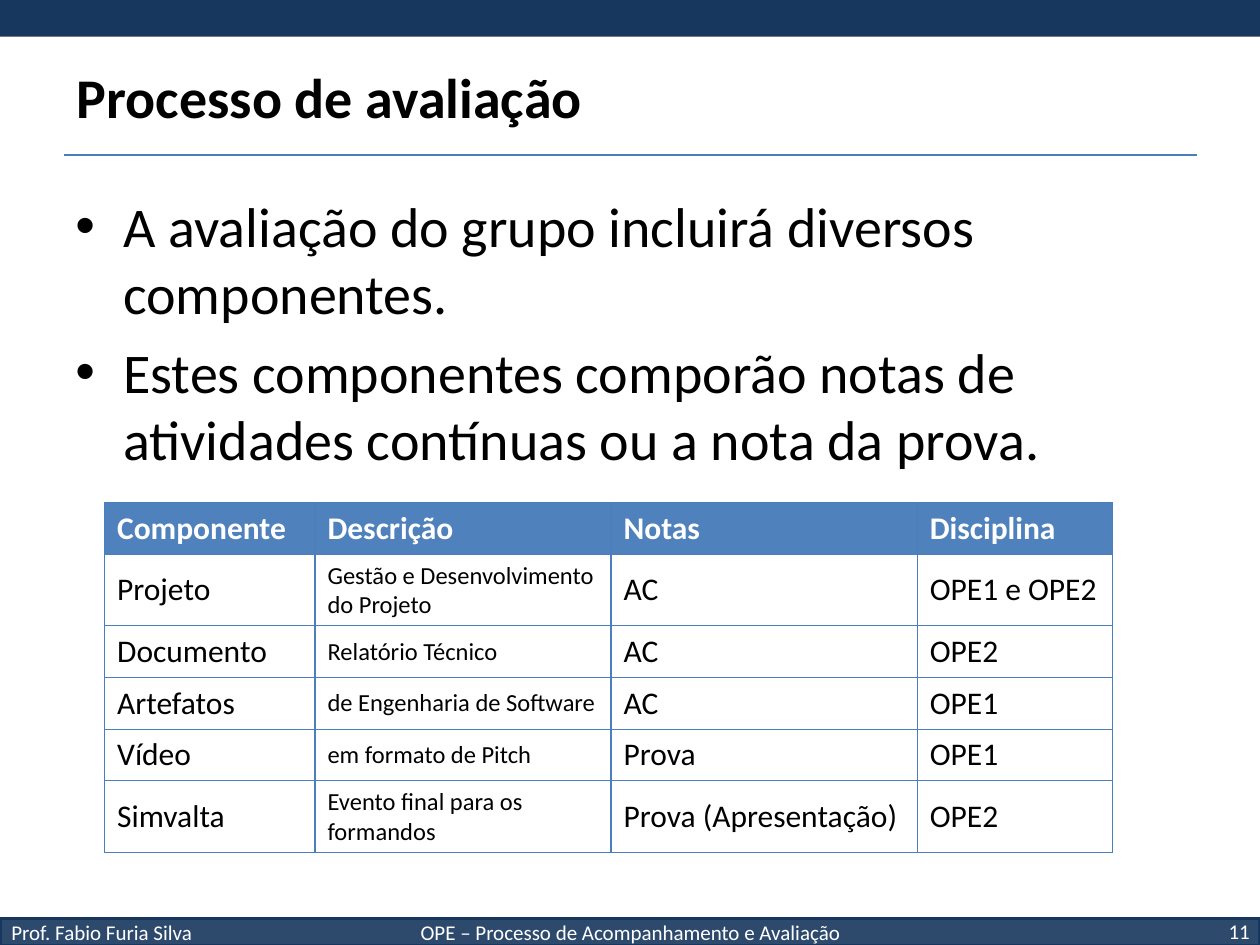
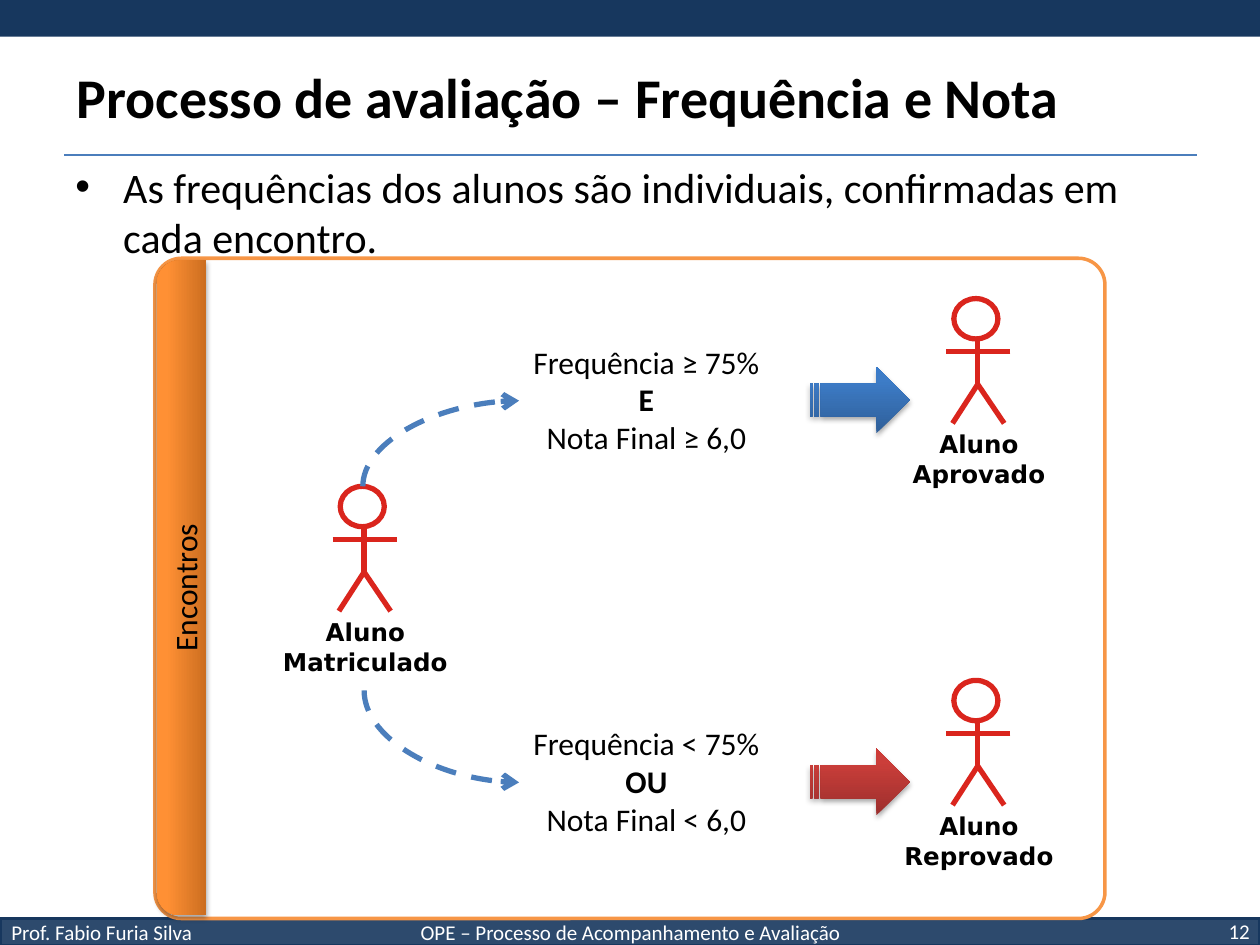
import lxml.etree
import pptx
import pptx.dml.color
import pptx.enum.dml
import pptx.enum.shapes
import pptx.enum.text
import pptx.oxml.ns
import pptx.util

Inches = pptx.util.Inches
Pt = pptx.util.Pt
PRESET = pptx.enum.shapes.MSO_SHAPE
CONNECTOR = pptx.enum.shapes.MSO_CONNECTOR
ALIGN = pptx.enum.text.PP_ALIGN
ANCHOR = pptx.enum.text.MSO_ANCHOR

COLORS = {
    "navy": "17375E",
    "rule": "4B7EBC",
    "header": "4F81BD",
    "figure": "DA251D",
    "frame": "F79646",
    "white": "FFFFFF",
    "black": "000000",
}
GRADIENTS = {
    "orange": [(0, "CC6E20"), (80, "FF9034"), (100, "FF9136")],
    "blue": [(0, "2F5F99"), (80, "3D7CC7"), (100, "3A7CCB")],
    "red": [(0, "9C2F2D"), (80, "CB3E3A"), (100, "CE3B37")],
}
BODY_FONT = "Calibri"
FIGURE_FONT = "DejaVu Sans"

AUTHOR = "Prof. Fabio Furia Silva"
COURSE = "OPE – Processo de Acompanhamento e Avaliação"
COMPONENTS = [
    ("Componente", "Descrição", "Notas", "Disciplina"),
    ("Projeto", "Gestão e Desenvolvimento do Projeto", "AC", "OPE1 e OPE2"),
    ("Documento", "Relatório Técnico", "AC", "OPE2"),
    ("Artefatos", "de Engenharia de Software", "AC", "OPE1"),
    ("Vídeo", "em formato de Pitch", "Prova", "OPE1"),
    ("Simvalta", "Evento final para os formandos", "Prova (Apresentação)", "OPE2"),
]


def rgb(name):
    return pptx.dml.color.RGBColor.from_string(COLORS[name])


def add_xml(parent, tag, **attributes):
    """Append a DrawingML element to parent and return it."""
    child = lxml.etree.SubElement(parent, pptx.oxml.ns.qn(tag))
    for key, value in attributes.items():
        child.set(key, str(value))
    return child


def find_xml(shape, tag):
    return next(shape.element.iter(pptx.oxml.ns.qn(tag)))


def write(frame, paragraphs, size, color="black", font=BODY_FONT, bold=False,
          align=ALIGN.LEFT):
    for index, text in enumerate(paragraphs):
        paragraph = frame.paragraphs[0] if index == 0 else frame.add_paragraph()
        paragraph.alignment = align
        run = paragraph.add_run()
        run.text = text
        run.font.size = Pt(size)
        run.font.name = font
        run.font.bold = bold
        run.font.color.rgb = rgb(color)


def add_text(shapes, box, paragraphs, size, wrap=True, anchor=ANCHOR.TOP,
             margin=None, **style):
    textbox = shapes.add_textbox(*map(Inches, box))
    frame = textbox.text_frame
    frame.word_wrap = wrap
    frame.vertical_anchor = anchor
    if margin is not None:
        frame.margin_left = frame.margin_right = Inches(margin)
        frame.margin_top = frame.margin_bottom = Inches(margin)
    write(frame, paragraphs, size, **style)
    return textbox


def add_preset(shapes, preset, box, fill=None, line=None, width=1):
    shape = shapes.add_shape(preset, *map(Inches, box))
    shape.shadow.inherit = False
    if fill:
        shape.fill.solid()
        shape.fill.fore_color.rgb = rgb(fill)
    else:
        shape.fill.background()
    if line:
        shape.line.color.rgb = rgb(line)
        shape.line.width = Pt(width)
    else:
        shape.line.fill.background()
    return shape


def add_line(shapes, start, end, color, width, kind=CONNECTOR.STRAIGHT):
    line = shapes.add_connector(kind, *map(Inches, start + end))
    line.line.color.rgb = rgb(color)
    line.line.width = Pt(width)
    add_xml(line.element.spPr, "a:effectLst")
    return line


def add_glossy(shapes, preset, box, gradient):
    """Shape with an upward gradient and a soft shadow below it."""
    shape = add_preset(shapes, preset, box)
    shape.fill.gradient()
    find_xml(shape, "a:lin").set("ang", "16200000")
    find_xml(shape, "a:gradFill").set("rotWithShape", "1")
    stops = find_xml(shape, "a:gsLst")
    for stop in list(stops):
        stops.remove(stop)
    for position, color in GRADIENTS[gradient]:
        stop = add_xml(stops, "a:gs", pos=position * 1000)
        add_xml(stop, "a:srgbClr", val=color)
    shadow = add_xml(find_xml(shape, "a:effectLst"), "a:outerShdw", blurRad=Pt(3.1),
                     dist=Pt(1.8), dir=5400000, rotWithShape=0)
    add_xml(add_xml(shadow, "a:srgbClr", val=COLORS["black"]), "a:alpha", val=35000)
    return shape


def add_base(deck, title, number):
    """Blank slide with the bands, footer, rule and title."""
    slide = deck.slides.add_slide(deck.slide_layouts[6])
    shapes = slide.shapes
    footer = add_preset(shapes, PRESET.RECTANGLE, (0, 7.29, 10, 0.22), "navy", "navy", 2)
    add_xml(find_xml(footer, "a:srgbClr"), "a:alpha", val=90000)
    for box, text, align in [
        ((9.68, 7.25, 0.28, 0.28), str(number), ALIGN.RIGHT),
        ((0.05, 7.26, 1.53, 0.28), AUTHOR, ALIGN.LEFT),
        ((3.21, 7.26, 3.59, 0.28), COURSE, ALIGN.CENTER),
    ]:
        add_text(shapes, box, [text], 12, wrap=False, margin=0.04,
                 color="white", align=align)
    add_preset(shapes, PRESET.RECTANGLE, (0, 0, 10, 0.29), "navy")
    add_line(shapes, (0.51, 1.23), (9.5, 1.23), "rule", 0.75)
    add_text(shapes, (0.51, 0.29, 8.99, 0.94), [title], 32,
             anchor=ANCHOR.MIDDLE, bold=True)
    return shapes


def add_bullets(shapes, top, paragraphs, size):
    body = add_text(shapes, (0.5, top, 9, 5.35), paragraphs, size)
    for paragraph in body.text_frame.paragraphs:
        paragraph.space_before = Pt(size * 0.2)
        properties = paragraph._p.get_or_add_pPr()
        properties.set("marL", str(Inches(0.38)))
        properties.set("indent", str(-Inches(0.38)))
        add_xml(properties, "a:buFont", typeface="Arial")
        add_xml(properties, "a:buChar", char="•")


def add_component_table(shapes):
    widths = (1.67, 2.35, 2.43, 1.55)
    row_height = 0.41
    table = shapes.add_table(
        len(COMPONENTS), len(widths), Inches(0.83), Inches(3.99),
        Inches(sum(widths)), Inches(row_height * len(COMPONENTS))).table
    table.horz_banding = False
    for column, width in zip(table.columns, widths):
        column.width = Inches(width)
    for row_index, texts in enumerate(COMPONENTS):
        table.rows[row_index].height = Inches(row_height)
        is_header = row_index == 0
        for column_index, text in enumerate(texts):
            cell = table.cell(row_index, column_index)
            cell.vertical_anchor = ANCHOR.MIDDLE
            for side in ("a:lnL", "a:lnR", "a:lnT", "a:lnB"):
                border = add_xml(cell._tc.get_or_add_tcPr(), side, w=Pt(0.75))
                add_xml(add_xml(border, "a:solidFill"), "a:srgbClr", val=COLORS["rule"])
            cell.fill.solid()
            cell.fill.fore_color.rgb = rgb("header" if is_header else "white")
            is_description = column_index == 1 and not is_header
            write(cell.text_frame, [text], 14 if is_description else 18,
                  color="white" if is_header else "black", bold=is_header)


def add_student(shapes, center, top, label):
    """Stick figure with its label, placed by its body axis and head top."""
    figure = shapes.add_group_shape().shapes
    add_preset(figure, PRESET.OVAL, (center - 0.19, top, 0.35, 0.32),
               "white", "figure", 3)
    neck, shoulder, hip = (0, 0.34), (0, 0.42), (0, 0.68)
    for start, end in [
        (neck, hip),
        ((-0.25, 0.42), shoulder),
        ((0.26, 0.42), shoulder),
        (hip, (-0.2, 0.99)),
        (hip, (0.21, 0.99)),
    ]:
        add_line(figure, (center + start[0], top + start[1]),
                 (center + end[0], top + end[1]), "figure", 3)
    add_text(figure, (center - 0.87, top + 0.99, 1.76, 0.63), [label], 14,
             font=FIGURE_FONT, bold=True, align=ALIGN.CENTER)


def add_criteria(shapes, top, paragraphs):
    criteria = add_text(shapes, (4.12, top, 2.02, 1.01), paragraphs, 18,
                        wrap=False, align=ALIGN.CENTER)
    criteria.fill.solid()
    criteria.fill.fore_color.rgb = rgb("white")
    criteria.text_frame.paragraphs[1].runs[0].font.bold = True


def add_branch(shapes, start, end):
    """Dashed quarter curve that leaves vertically and arrives heading right."""
    (x1, y1), (x2, y2) = start, end
    width, height = abs(y2 - y1), x2 - x1
    left, top = (x1 + x2 - width) / 2, (y1 + y2 - height) / 2
    branch = add_line(shapes, (left, top), (left + width, top + height),
                      "rule", 3, CONNECTOR.CURVE)
    find_xml(branch, "a:prstGeom").set("prst", "curvedConnector2")
    goes_up = y2 < y1
    transform = find_xml(branch, "a:xfrm")
    transform.set("rot", str((90 if goes_up else 270) * 60000))
    transform.set("flipH", "1")
    if goes_up:
        transform.set("flipV", "1")
    branch.line.dash_style = pptx.enum.dml.MSO_LINE.DASH
    add_xml(find_xml(branch, "a:ln"), "a:tailEnd", type="arrow")


def add_meetings_frame(shapes):
    frame = add_preset(shapes, PRESET.ROUNDED_RECTANGLE, (1.23, 2.05, 7.54, 5.24),
                       line="frame", width=2)
    frame.adjustments[0] = 0.04
    band = add_glossy(shapes, PRESET.ROUND_2_SAME_RECTANGLE,
                      (-1.16, 4.47, 5.2, 0.39), "orange")
    band.adjustments[0] = 0.473
    band.adjustments[1] = 0
    band.rotation = 270
    band.text_frame.vertical_anchor = ANCHOR.MIDDLE
    write(band.text_frame, ["Encontros"], 18, align=ALIGN.CENTER)


def build_evaluation(deck):
    shapes = add_base(deck, "Processo de avaliação", 11)
    add_bullets(shapes, 1.47, [
        "A avaliação do grupo incluirá diversos componentes.",
        "Estes componentes comporão notas de atividades contínuas ou a nota da prova.",
    ], 32)
    add_component_table(shapes)


def build_attendance(deck):
    shapes = add_base(deck, "Processo de avaliação – Frequência e Nota", 12)
    add_student(shapes, 2.89, 3.86, "Aluno Matriculado")
    add_student(shapes, 7.76, 2.37, "Aluno Aprovado")
    add_student(shapes, 7.76, 5.4, "Aluno Reprovado")
    add_criteria(shapes, 5.7, ["Frequência < 75%", "OU", "Nota Final < 6,0"])
    add_meetings_frame(shapes)
    add_criteria(shapes, 2.67, ["Frequência ≥ 75%", "E", "Nota Final ≥ 6,0"])
    add_branch(shapes, (2.88, 3.86), (4.12, 3.18))
    add_branch(shapes, (2.89, 5.48), (4.12, 6.21))
    for top, gradient in [(2.91, "blue"), (5.94, "red")]:
        add_glossy(shapes, PRESET.STRIPED_RIGHT_ARROW, (6.43, top, 0.79, 0.53), gradient)
    add_bullets(shapes, 1.23, [
        "As frequências dos alunos são individuais, confirmadas em cada encontro.",
    ], 24)


def main():
    deck = pptx.Presentation()
    deck.slide_width, deck.slide_height = Inches(10), Inches(7.5)
    build_evaluation(deck)
    build_attendance(deck)
    deck.save("out.pptx")


if __name__ == "__main__":
    main()
